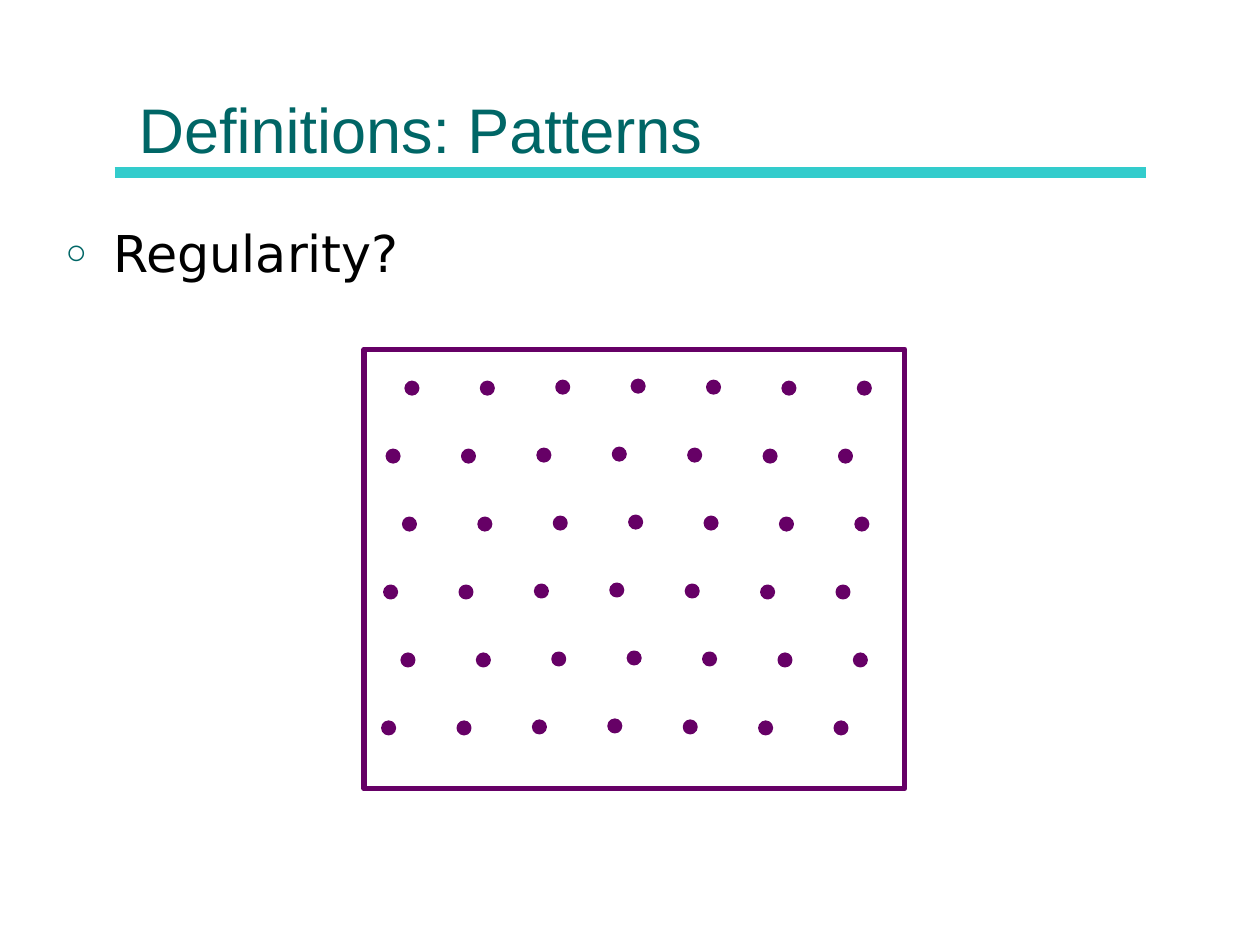
from lxml import etree
from pptx import Presentation
from pptx import util as u
from pptx.dml.color import RGBColor
from pptx.enum import shapes, text
from pptx.oxml import ns

TEAL, AQUA, PURPLE, BLACK = "006666", "33CCCC", "660066", "000000"
TITLE_FONT = {"name": "Arial", "size": u.Pt(36), "bold": False}
BODY_FONT = {"name": "DejaVu Sans", "size": u.Pt(29), "bold": False}
DOT_SIZE = 0.25
COLUMN_PITCH, ROW_PITCH, FIRST_ROW = 1.52, 1.37, 0.66
ROW_STARTS = (0.84, 0.46, 0.79, 0.41, 0.76, 0.37)
COLUMN_SHIFTS = (0, 0, -0.02, -0.04, -0.02, 0, 0)


def color(value):
    """Return the colour for a hex string."""
    return RGBColor.from_string(value)


def place(shape, box):
    """Move a shape to a box given in centimetres."""
    for name, value in zip(("left", "top", "width", "height"), box):
        setattr(shape, name, u.Cm(value))


def write(placeholder, wording, font, font_color, anchor):
    """Write one left-aligned paragraph into a placeholder and return it."""
    frame = placeholder.text_frame
    frame.text = wording
    for name, value in {"word_wrap": True, "vertical_anchor": anchor,
                        "auto_size": text.MSO_AUTO_SIZE.NONE}.items():
        setattr(frame, name, value)
    paragraph = frame.paragraphs[0]
    paragraph.alignment = text.PP_ALIGN.LEFT
    run_font = paragraph.runs[0].font
    for name, value in font.items():
        setattr(run_font, name, value)
    run_font.color.rgb = color(font_color)
    return paragraph


def add_bullet(paragraph, character, bullet_color, percent, indent):
    """Give a paragraph a coloured hanging bullet."""
    properties = paragraph._p.get_or_add_pPr()
    properties.set("marL", str(u.Cm(indent)))
    properties.set("indent", str(-u.Cm(indent)))
    tint = etree.SubElement(properties, ns.qn("a:buClr"))
    etree.SubElement(tint, ns.qn("a:srgbClr"), val=bullet_color)
    etree.SubElement(properties, ns.qn("a:buSzPct"), val=str(percent * 1000))
    etree.SubElement(properties, ns.qn("a:buChar"), char=character)


def add_heading(slide, box):
    """Place the title and the rule under it."""
    left, top, width, height = box
    title = slide.shapes.title
    place(title, box)
    write(title, "Definitions: Patterns", TITLE_FONT, TEAL,
          text.MSO_ANCHOR.BOTTOM)
    start, end, level = left - 0.23, left + width + 0.25, top + height
    rule = slide.shapes.add_connector(
        shapes.MSO_CONNECTOR.STRAIGHT,
        u.Cm(start), u.Cm(level), u.Cm(end), u.Cm(level))
    rule.line.color.rgb = color(AQUA)
    rule.line.width = u.Pt(6)
    etree.SubElement(rule._element.spPr, ns.qn("a:effectLst"))


def add_question(slide, box):
    """Place the bulleted question."""
    body = slide.placeholders[1]
    place(body, box)
    paragraph = write(body, "Regularity?", BODY_FONT, BLACK,
                      text.MSO_ANCHOR.TOP)
    paragraph.space_before = u.Pt(0)
    add_bullet(paragraph, "○", TEAL, 70, 0.96)


def add_outlined(slide, kind, box, line_width):
    """Add a purple-outlined shape without a shadow."""
    shape = slide.shapes.add_shape(kind, *(u.Cm(value) for value in box))
    shape.shadow.inherit = False
    shape.line.color.rgb = color(PURPLE)
    shape.line.width = u.Pt(line_width)
    return shape


def add_dot_pattern(slide, box):
    """Place the frame and its staggered rows of dots."""
    left, top = box[:2]
    frame = add_outlined(slide, shapes.MSO_SHAPE.RECTANGLE, box, 3)
    frame.fill.background()
    for row, start in enumerate(ROW_STARTS):
        for column, shift in enumerate(COLUMN_SHIFTS):
            dot_box = (left + start + column * COLUMN_PITCH,
                       top + FIRST_ROW + row * ROW_PITCH + shift,
                       DOT_SIZE, DOT_SIZE)
            dot = add_outlined(slide, shapes.MSO_SHAPE.OVAL, dot_box, 1.5)
            dot.fill.solid()
            dot.fill.fore_color.rgb = color(PURPLE)


def main():
    """Build and save the slide."""
    presentation = Presentation()
    presentation.slide_width = u.Cm(25.4)
    presentation.slide_height = u.Cm(19.05)
    slide = presentation.slides.add_slide(presentation.slide_layouts[1])
    add_heading(slide, (2.54, 0.3, 20.32, 3.18))
    add_question(slide, (1.07, 4.34, 23.19, 11.43))
    add_dot_pattern(slide, (7.34, 7.04, 10.9, 8.86))
    presentation.save("out.pptx")


if __name__ == "__main__":
    main()
